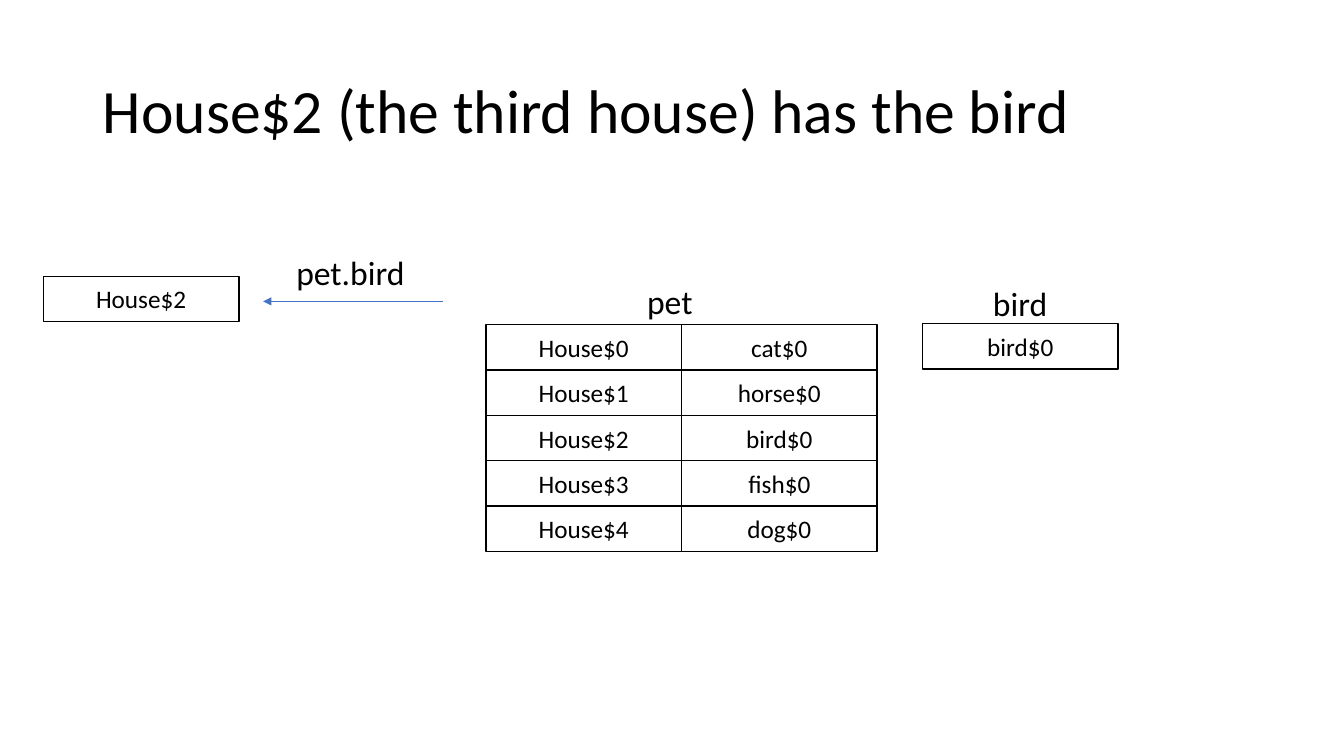
from dataclasses import dataclass

from lxml import etree
from pptx import Presentation
from pptx.dml.color import RGBColor
from pptx.enum.shapes import MSO_CONNECTOR, MSO_SHAPE
from pptx.enum.text import MSO_ANCHOR, MSO_AUTO_SIZE, PP_ALIGN
from pptx.oxml.ns import qn
from pptx.slide import Slide
from pptx.util import Inches, Pt

RECT = MSO_SHAPE.RECTANGLE
STRAIGHT = MSO_CONNECTOR.STRAIGHT
MIDDLE = MSO_ANCHOR.MIDDLE
LEFT, CENTER = PP_ALIGN.LEFT, PP_ALIGN.CENTER
NO_FIT, GROW = MSO_AUTO_SIZE.NONE, MSO_AUTO_SIZE.SHAPE_TO_FIT_TEXT


@dataclass(frozen=True)
class Theme:
    font: str = "Calibri"
    ink: RGBColor = RGBColor(0, 0, 0)
    paper: RGBColor = RGBColor(255, 255, 255)
    arrow: RGBColor = RGBColor(0x44, 0x72, 0xC4)
    title_size: int = 44
    label_size: int = 24
    cell_size: int = 18


@dataclass(frozen=True)
class Relation:
    left: float
    top: float
    rows: tuple[tuple[str, ...], ...]


@dataclass(frozen=True)
class Label:
    text: str
    left: float
    top: float
    width: float


THEME = Theme()
CELL_W, CELL_H = 1.94, 0.45
LABEL_H = 0.5
ARROW_FROM, ARROW_TO, ARROW_Y = 4.39, 2.61, 2.99

PETS = ("cat$0", "horse$0", "bird$0", "fish$0", "dog$0")
RELATIONS = (
    Relation(4.82, 3.22, tuple((f"House${i}", pet) for i, pet in enumerate(PETS))),
    Relation(9.15, 3.21, (("bird$0",),)),
    Relation(0.43, 2.74, (("House$2",),)),
)
LABELS = (
    Label("pet", 6.32, 2.74, 0.66),
    Label("bird", 9.75, 2.76, 0.75),
    Label("pet.bird", 2.84, 2.45, 1.29),
)


def write(tf, text: str, size: int, align: PP_ALIGN) -> None:
    p = tf.paragraphs[0]
    p.text = text
    p.alignment = align
    p.font.name = THEME.font
    p.font.size = Pt(size)
    p.font.color.rgb = THEME.ink


def set_title(s: Slide, text: str) -> None:
    sp = s.shapes.title
    sp.left, sp.top = Inches(0.92), Inches(0.4)
    sp.width, sp.height = Inches(11.5), Inches(1.45)
    tf = sp.text_frame
    tf.auto_size = NO_FIT
    tf.vertical_anchor = MIDDLE
    write(tf, text, THEME.title_size, LEFT)
    tf.paragraphs[0].line_spacing = 0.9


def draw_cell(s: Slide, text: str, left: float, top: float) -> None:
    sp = s.shapes.add_shape(
        RECT, Inches(left), Inches(top), Inches(CELL_W), Inches(CELL_H)
    )
    sp.shadow.inherit = False
    sp.fill.solid()
    sp.fill.fore_color.rgb = THEME.paper
    sp.line.color.rgb = THEME.ink
    sp.line.width = Pt(1)
    sp.text_frame.vertical_anchor = MIDDLE
    write(sp.text_frame, text, THEME.cell_size, CENTER)


def draw_relation(s: Slide, relation: Relation) -> None:
    for i, row in enumerate(relation.rows):
        for j, text in enumerate(row):
            draw_cell(s, text, relation.left + j * CELL_W, relation.top + i * CELL_H)


def draw_label(s: Slide, label: Label) -> None:
    sp = s.shapes.add_textbox(
        Inches(label.left), Inches(label.top), Inches(label.width), Inches(LABEL_H)
    )
    tf = sp.text_frame
    tf.word_wrap = False
    tf.auto_size = GROW
    write(tf, label.text, THEME.label_size, LEFT)


def draw_arrow(s: Slide) -> None:
    y = Inches(ARROW_Y)
    arrow = s.shapes.add_connector(STRAIGHT, Inches(ARROW_FROM), y, Inches(ARROW_TO), y)
    arrow.line.color.rgb = THEME.arrow
    arrow.line.width = Pt(0.5)
    etree.SubElement(arrow.line._get_or_add_ln(), qn("a:tailEnd"), type="triangle")
    etree.SubElement(arrow._element.spPr, qn("a:effectLst"))


def main() -> None:
    prs = Presentation()
    prs.slide_width, prs.slide_height = Inches(13.33), Inches(7.5)
    s = prs.slides.add_slide(prs.slide_layouts[5])
    set_title(s, "House$2 (the third house) has the bird")
    for relation in RELATIONS:
        draw_relation(s, relation)
    for label in LABELS:
        draw_label(s, label)
    draw_arrow(s)
    prs.save("out.pptx")


if __name__ == "__main__":
    main()
